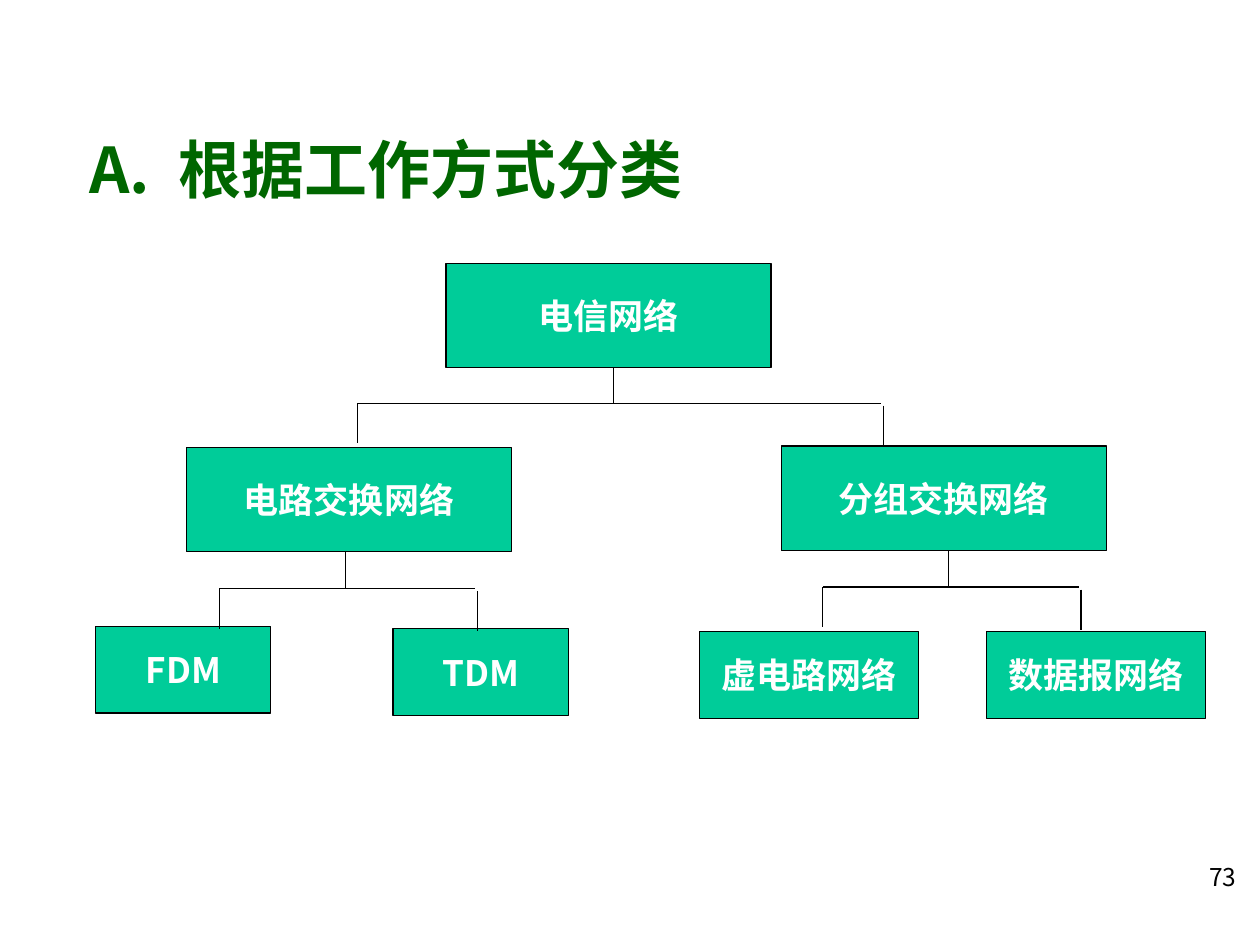
from lxml.etree import SubElement
from pptx import Presentation
from pptx.dml.color import RGBColor
from pptx.enum.shapes import MSO_CONNECTOR, MSO_SHAPE
from pptx.enum.text import MSO_ANCHOR, MSO_AUTO_SIZE, PP_ALIGN
from pptx.oxml.ns import qn
from pptx.util import Inches, Pt

FONT = "Noto Sans CJK SC"
TITLE_GREEN = RGBColor(0x00, 0x66, 0x00)
NODE_GREEN = RGBColor(0x00, 0xCC, 0x99)
WHITE = RGBColor(0xFF, 0xFF, 0xFF)
BLACK = RGBColor(0x00, 0x00, 0x00)
LINE_WIDTH = Pt(0.75)

NETWORK_SIZE = (Inches(2.58), Inches(0.83))
LEAF_HEIGHT = Inches(0.69)
DROP = Inches(0.32)
CORNER_GAP = Inches(0.02)


def add_run(paragraph, text, size, color, bold=False):
    run = paragraph.add_run()
    run.text = text
    font = run.font
    font.size, font.bold, font.name = Pt(size), bold, FONT
    font.color.rgb = color
    # East Asian typeface
    SubElement(run._r.get_or_add_rPr(), qn("a:ea"), typeface=FONT)
    return run


def add_title(slide, box):
    title = slide.shapes.title
    title.left, title.top, title.width, title.height = box
    frame = title.text_frame
    frame.auto_size = MSO_AUTO_SIZE.NONE
    frame.vertical_anchor = MSO_ANCHOR.MIDDLE
    heading = frame.paragraphs[0]
    heading.alignment = PP_ALIGN.LEFT
    add_run(heading, "A.", 36, TITLE_GREEN, True)
    # Widened space between the letter and the heading
    gap = add_run(heading, " ", 36, TITLE_GREEN, True)
    gap._r.get_or_add_rPr().set("spc", "800")
    add_run(heading, "根据工作方式分类", 36, TITLE_GREEN, True)


def add_page_number(slide, box):
    frame = slide.shapes.add_textbox(*box).text_frame
    frame.word_wrap = True
    number = frame.paragraphs[0]
    number.alignment = PP_ALIGN.RIGHT
    add_run(number, "73", 14, BLACK)


def add_node(shapes, box, label):
    node = shapes.add_shape(MSO_SHAPE.RECTANGLE, *box)
    node.shadow.inherit = False
    node.fill.solid()
    node.fill.fore_color.rgb = NODE_GREEN
    node.line.color.rgb = BLACK
    node.line.width = LINE_WIDTH
    frame = node.text_frame
    frame.word_wrap = False
    frame.vertical_anchor = MSO_ANCHOR.MIDDLE
    caption = frame.paragraphs[0]
    caption.alignment = PP_ALIGN.CENTER
    add_run(caption, label, 20, WHITE, True)


def add_line(shapes, *ends):
    line = shapes.add_connector(MSO_CONNECTOR.STRAIGHT, *ends)
    line.line.color.rgb = BLACK
    line.line.width = LINE_WIDTH
    SubElement(line._element.spPr, qn("a:effectLst"))


def add_branch(shapes, box, stem_x):
    """Box runs from the foot of the parent to the bar between the children."""
    left, top, width, height = box
    right, bar = left + width, top + height
    add_line(shapes, left, bar, right - CORNER_GAP, bar)
    add_line(shapes, right, bar + CORNER_GAP, right, bar + CORNER_GAP + DROP)
    add_line(shapes, left, bar, left, bar + DROP)
    add_line(shapes, left + stem_x, top, left + stem_x, bar)


def add_subtree(slide, box, parent, parent_x, leaves, leaf_width, leaf_tops):
    left, top, width, _ = box
    shapes = slide.shapes.add_group_shape().shapes
    add_node(shapes, (left + parent_x, top, *NETWORK_SIZE), parent)
    leaf_lefts = (left, left + width - leaf_width)
    for leaf, leaf_left, leaf_top in zip(leaves, leaf_lefts, leaf_tops):
        add_node(shapes, (leaf_left, top + leaf_top, leaf_width, LEAF_HEIGHT), leaf)
    branch_box = (left + Inches(0.98), top + NETWORK_SIZE[1],
                  Inches(2.05), Inches(0.29))
    add_branch(shapes, branch_box, Inches(1))


def main():
    presentation = Presentation()
    presentation.slide_width, presentation.slide_height = Inches(10), Inches(7.5)
    slide = presentation.slides.add_slide(presentation.slide_layouts[5])

    add_page_number(slide, (Inches(9.23), Inches(6.79), Inches(0.68), Inches(0.5)))
    add_title(slide, (Inches(0.61), Inches(0.79), Inches(8.5), Inches(1.09)))

    # Root of the tree
    add_node(slide.shapes, (Inches(3.54), Inches(2.09), *NETWORK_SIZE), "电信网络")

    # Circuit switching and packet switching
    add_subtree(slide, (Inches(0.76), Inches(3.55), Inches(3.75), Inches(2.13)),
                "电路交换网络", Inches(0.72), ("FDM", "TDM"),
                Inches(1.39), (Inches(1.42), Inches(1.44)))
    add_subtree(slide, (Inches(5.55), Inches(3.54), Inches(4.02), Inches(2.16)),
                "分组交换网络", Inches(0.65), ("虚电路网络", "数据报网络"),
                Inches(1.74), (Inches(1.47), Inches(1.47)))

    # Branch from the root to both kinds of network
    root_branch = slide.shapes.add_group_shape().shapes
    add_branch(root_branch, (Inches(2.84), Inches(2.92), Inches(4.17), Inches(0.28)),
               Inches(2.03))

    presentation.save("out.pptx")


if __name__ == "__main__":
    main()
